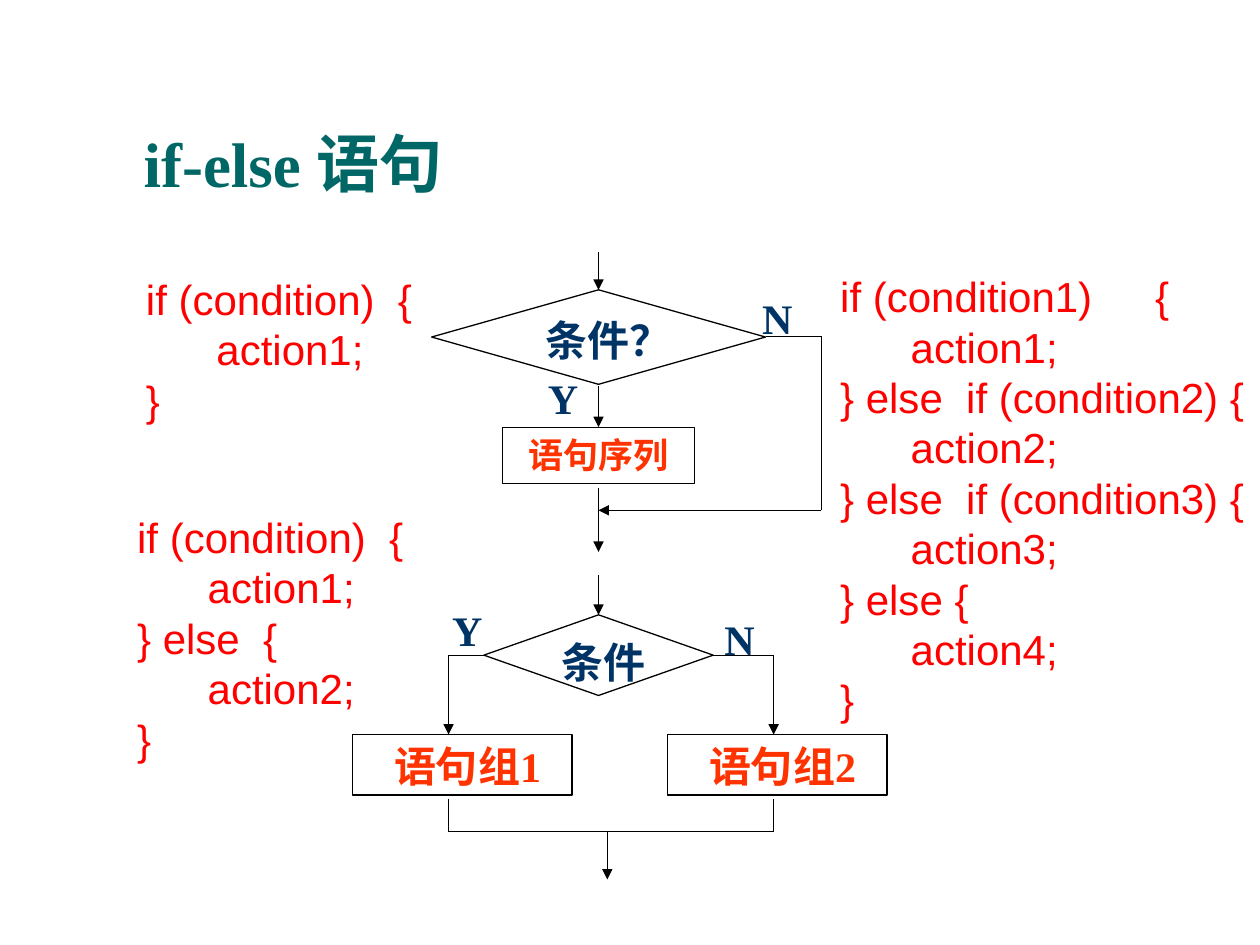
from itertools import pairwise

from lxml.etree import SubElement
from pptx import Presentation
from pptx.dml.color import RGBColor
from pptx.enum.shapes import MSO_CONNECTOR, MSO_SHAPE
from pptx.enum.text import MSO_ANCHOR, PP_ALIGN
from pptx.oxml.ns import qn
from pptx.util import Inches, Pt

BLACK, WHITE, RED = "000000", "FFFFFF", "FF0000"
TEAL, NAVY, ORANGE = "006666", "003366", "FF3300"
SERIF, SANS = "Times New Roman", "Arial"
CODE_INDENT = 0.56
SPACE = 0.08  # width of one space at 24 points


def color(hex_text):
    return RGBColor.from_string(hex_text)


def set_font(paragraph, size, hex_text, name=SERIF, bold=True):
    font = paragraph.font
    font.size, font.name, font.bold = Pt(size), name, bold
    font.color.rgb = color(hex_text)


def set_margins(frame, side, edge, shift=0):
    frame.margin_left, frame.margin_right = Inches(side + shift), Inches(side)
    frame.margin_top = frame.margin_bottom = Inches(edge)


def add_title(slide, text):
    title = slide.shapes.title
    title.left, title.top = Inches(1.04), Inches(0.89)
    title.width, title.height = Inches(8.41), Inches(0.76)
    frame = title.text_frame
    frame.text = text
    frame.vertical_anchor = MSO_ANCHOR.BOTTOM
    paragraph = frame.paragraphs[0]
    paragraph.alignment = PP_ALIGN.LEFT
    paragraph.line_spacing = 0.9
    set_font(paragraph, 36, TEAL)


def add_text_box(slide, left, top, width, height):
    box = slide.shapes.add_textbox(*map(Inches, (left, top, width, height)))
    box.text_frame.word_wrap = True
    return box.text_frame


def add_code(slide, left, top, width, height, lines):
    frame = add_text_box(slide, left, top, width, height)
    frame.text = "\n".join(lines)
    for paragraph in frame.paragraphs:
        set_font(paragraph, 24, RED, SANS, False)
        paragraph.line_spacing = Pt(28.8)
        properties = paragraph._p.get_or_add_pPr()
        if paragraph.text.startswith("action"):
            properties.set("marL", str(Inches(CODE_INDENT)))
            properties.set("indent", "0")
        # Tab stops at every inch line up the braces and conditions
        if "\t" in paragraph.text:
            tabs = SubElement(properties, qn("a:tabLst"))
            for stop in (1, 2):
                SubElement(tabs, qn("a:tab"), pos=str(Inches(stop)), algn="l")


def add_branch_label(slide, left, top, text):
    frame = add_text_box(slide, left, top, 0.6, 0.48)
    frame.text = text
    set_font(frame.paragraphs[0], 24, NAVY)


def add_node(slide, kind, center, top, width, height, text, size, hex_text, shift=0):
    shape = slide.shapes.add_shape(
        kind, *map(Inches, (center - width / 2, top, width, height)))
    shape.shadow.inherit = False
    shape.fill.solid()
    shape.fill.fore_color.rgb = color(WHITE)
    shape.line.color.rgb = color(BLACK)
    shape.line.width = Pt(0.75)
    frame = shape.text_frame
    frame.text = text
    frame.word_wrap = True
    frame.vertical_anchor = MSO_ANCHOR.TOP
    frame.paragraphs[0].alignment = PP_ALIGN.CENTER
    set_font(frame.paragraphs[0], size, hex_text)
    return frame, shift


def add_decision(slide, center, top, width, height, text, shift):
    frame, shift = add_node(slide, MSO_SHAPE.FLOWCHART_DECISION, center, top,
                            width, height, text, 24, NAVY, shift)
    set_margins(frame, 0.02, 0.01, shift)


def add_step(slide, center, top, width, height, text, size, shift=0):
    frame, shift = add_node(slide, MSO_SHAPE.RECTANGLE, center, top,
                            width, height, text, size, ORANGE, shift)
    set_margins(frame, 0.1, 0.05, shift)


def add_route(slide, *points, arrow=True):
    """Join the points with straight lines; the last one may carry an arrowhead."""
    for start, end in pairwise(points):
        line = slide.shapes.add_connector(
            MSO_CONNECTOR.STRAIGHT, *map(Inches, (*start, *end)))
        line.line.color.rgb = color(BLACK)
        line.line.width = Pt(0.75)
        SubElement(line._element.spPr, qn("a:effectLst"))
    if arrow:
        SubElement(line.line._get_or_add_ln(), qn("a:tailEnd"), type="triangle")


def add_if_chart(slide):
    axis, bypass, middle, merge = 4.75, 6.52, 2.67, 4.05
    add_branch_label(slide, 5.95, 2.27, "N")
    add_branch_label(slide, 4.25, 2.91, "Y")
    add_decision(slide, axis, 2.3, 2.65, 0.75, "条件？", 2 * SPACE)
    add_step(slide, axis, 3.39, 1.52, 0.45, "语句序列", 20)
    for top, bottom in ((2, 2.3), (3.06, 3.39), (3.87, 4.38)):
        add_route(slide, (axis, top), (axis, bottom))
    add_route(slide, (6.08, middle), (bypass, middle), (bypass, merge), (axis, merge))


def add_if_else_chart(slide):
    axis, half_width, middle = 4.75, 0.91, 5.2
    left, right, step_top, merge = 3.56, 6.14, 5.83, 6.6
    exit_axis = 4.82
    add_branch_label(slide, 5.65, 4.82, "N")
    add_branch_label(slide, 3.49, 4.75, "Y")
    add_route(slide, (axis, 4.56), (axis, 4.88))
    add_decision(slide, axis, 4.88, 2 * half_width, 0.64, "条件", SPACE)
    # Branches down to the two steps
    for branch, corner in ((left, axis - half_width), (right, axis + half_width)):
        add_route(slide, (corner, middle), (branch, middle), (branch, step_top))
    for center, text in ((3.67, "语句组1"), (6.17, "语句组2")):
        add_step(slide, center, step_top, 1.74, 0.48, text, 24, SPACE)
    # Branches join again
    add_route(slide, (left, 6.34), (left, merge), (right, merge), (right, 6.34),
              arrow=False)
    add_route(slide, (exit_axis, merge), (exit_axis, 6.98))


def main():
    presentation = Presentation()
    presentation.slide_width, presentation.slide_height = Inches(10), Inches(7.5)
    slide = presentation.slides.add_slide(presentation.slide_layouts[5])
    add_title(slide, "if-else 语句")

    # Code samples on the left
    add_code(slide, 1.06, 2.12, 2.49, 1.7, ["if (condition) \t{", "action1;", "}"])
    add_code(slide, 0.99, 4.01, 2.59, 2.5,
             ["if (condition) \t{", "action1;", "} else\t{", "action2;", "}"])

    # Flow charts in the middle
    add_if_chart(slide)
    add_if_else_chart(slide)

    # Chained conditions on the right
    add_code(slide, 6.57, 2.1, 3.86, 4.1,
             ["if (condition1)\t{", "action1;",
              "} else\tif (condition2) {", "action2;",
              "} else\tif (condition3) {", "action3;",
              "} else {", "action4;", "}"])
    presentation.save("out.pptx")


if __name__ == "__main__":
    main()
